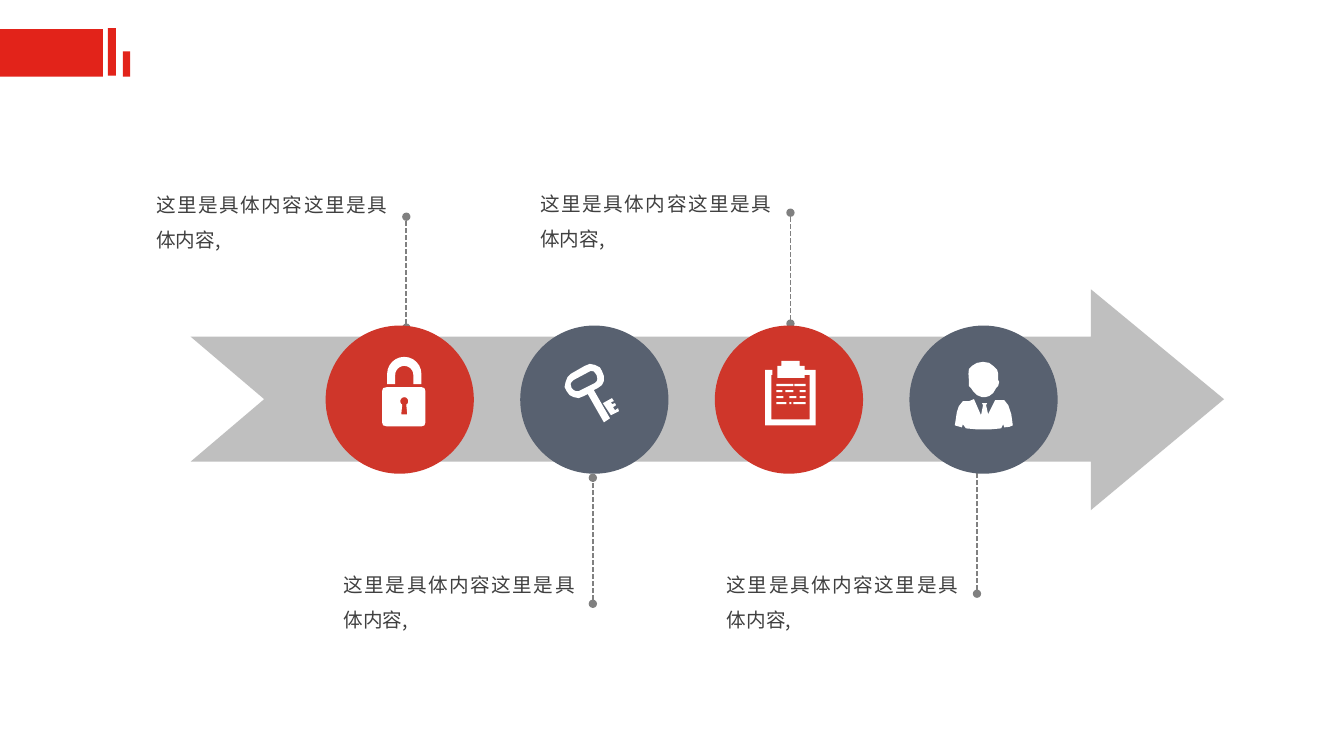
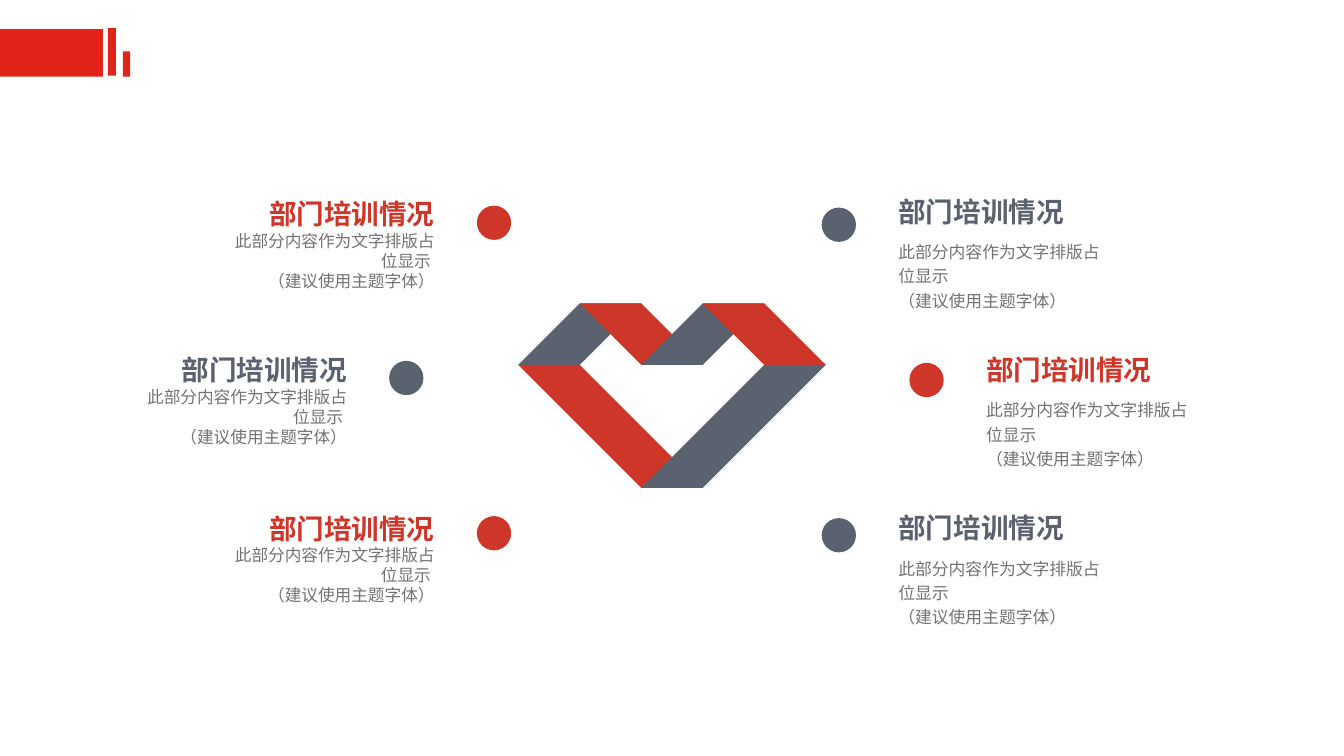
from dataclasses import dataclass
from math import cos, radians, sin

from lxml.etree import SubElement
from pptx import Presentation
from pptx.dml.color import RGBColor
from pptx.enum.dml import MSO_LINE
from pptx.enum.shapes import MSO_CONNECTOR, MSO_SHAPE
from pptx.enum.text import MSO_ANCHOR, MSO_AUTO_SIZE, PP_ALIGN
from pptx.oxml.ns import qn
from pptx.util import Inches, Pt


@dataclass(frozen=True)
class Theme:
    font: str = "Noto Sans CJK SC"
    band: str = "E2231A"
    red: str = "CF362A"
    slate: str = "586170"
    steel: str = "5A616F"
    arrow: str = "BFBFBF"
    rule: str = "808080"
    white: str = "FFFFFF"
    body: str = "404040"
    note: str = "767171"
    step: float = 14
    head: float = 19.7
    left: float = 11.9
    right: float = 12


T = Theme()


def arc(x, y, r, start, end, count=12):
    turn = [radians(start + (end - start) * i / count) for i in range(count + 1)]
    return [(x + r * cos(a), y + r * sin(a)) for a in turn]


def bar(x, y, w, h=2):
    return [(x, y), (x + w, y), (x + w, y + h), (x, y + h)]


LOCK = [
    [(5, 30), (39, 30), (42, 31), (43, 34), (43, 65), (42, 68),
     (39, 69), (5, 69), (1, 68), (0, 65), (0, 34), (1, 31)],
    [(5, 27), *arc(22, 17, 17, 180, 360), (39, 27),
     (31, 27), *arc(22, 18, 9, 360, 180), (13, 27)],
    [*arc(22, 44, 4, 60, -240), (19, 57), (25, 57)],
]
KEY = [
    [(6, 10), (20, 2), (25, 0), (30, 1), (35, 3.5), (37, 7), (39, 12),
     (39, 17), (37, 21), (33, 24), (29, 26), (45, 54), (39, 58), (23, 30),
     (19, 32), (14, 34), (9, 33), (5, 31), (2, 27), (0, 23), (1, 18), (3, 13)],
    [(47, 40), (46, 38), (49, 37), (47, 34), (38, 39), (46, 51), (54, 47),
     (53, 44), (50, 46), (48, 43), (51, 41), (50, 39)],
    [(24, 8), (9, 16), (7, 18), (6, 20), (7, 24), (9, 26), (11, 27), (14, 27),
     (16, 26), (30, 19), (32, 17), (32.5, 15), (32, 12), (31, 10), (29, 7.5), (26, 7)],
]
ROWS = [
    (23, [(11, 13), (24, 4), (29, 11)]),
    (29, [(11, 6), (20, 8), (34, 6)]),
    (35, [(11, 7), (24, 7), (34, 6)]),
    (41, [(11, 10), (24, 2), (28, 12)]),
]
BOARD = [
    [(12, 5), (16, 5), (16, 0), (34, 0), (34, 5), (39, 5), (39, 9), (50, 9),
     (50, 64), (0, 64), (0, 9), (7, 9), (7, 14), (6, 14), (6, 58), (44, 58),
     (44, 14), (39, 14), (39, 17), (12, 17)],
    *[bar(x, y, w) for y, row in ROWS for x, w in row],
]
MAN = [
    [(8, 39), (14, 39), (19, 37), (26, 53), (28, 43), (27, 41), (32, 41),
     (31, 43), (33, 52), (40, 38), (49, 38), (53, 43), (56, 52), (57.5, 63),
     (54, 64.5), (49, 65), (48, 62), (46, 66), (35, 67), (22, 67), (11, 66),
     (8, 62), (7, 65), (0, 63), (2, 50), (4, 44)],
    [(16, 26), (14, 24), (14, 19), (13.5, 12), (14, 7), (17, 4), (22, 1),
     (28, 0), (34, 1), (38, 4), (42, 8), (43, 12), (43, 18), (44, 20),
     (43, 24), (41, 26), (38, 31), (34, 34), (30, 35), (27, 35), (22, 33), (18, 29)],
]

BANDS = [(1.07, 0.28, 0.08, 0.47), (1.22, 0.51, 0.07, 0.25), (0, 0.29, 1.02, 0.47)]
ARROW = [(10.82, 2.87), (12.14, 3.96), (10.82, 5.06), (10.82, 4.58),
         (1.89, 4.58), (2.62, 3.96), (1.89, 3.34), (10.82, 3.34)]
STEP = "这里是具体内容这里是具体内容,"
STEPS = [
    (T.red, LOCK, (3.79, 3.54), (1.45, 1.75), (4.03, 3.25, 2.15)),
    (T.slate, KEY, (5.6, 3.61), (3.31, 5.52), (5.88, 5.99, 4.74)),
    (T.red, BOARD, (7.59, 3.58), (5.26, 1.74), (7.84, 3.21, 2.11)),
    (T.slate, MAN, (9.47, 3.59), (7.11, 5.52), (9.69, 5.89, 4.64)),
]

HEAD = "部门培训情况"
NOTE = ["此部分内容作为文字排版占位显示 ", "（建议使用主题字体）"]
HEART = [
    (T.steel, [(1, 1), (0, 1), (1, 0), (2, 0)]),
    (T.red, [(2, 0), (1, 0), (2, 1), (3, 1)]),
    (T.steel, [(3, 1), (2, 1), (3, 0), (4, 0)]),
    (T.red, [(4, 0), (3, 0), (4, 1), (5, 1)]),
    (T.red, [(3, 3), (1, 1), (0, 1), (2, 3)]),
    (T.steel, [(2, 3), (3, 3), (5, 1), (4, 1)]),
]
LEFT = [(4.73, 1.96, T.red), (3.86, 3.51, T.steel), (4.73, 5.08, T.red)]
RIGHT = [(8.15, 1.94, T.steel), (9.02, 3.51, T.red), (8.15, 5.08, T.steel)]


def tint(name):
    return RGBColor.from_string(name)


def paint(shape, color):
    shape.shadow.inherit = False
    shape.fill.solid()
    shape.fill.fore_color.rgb = tint(color)
    shape.line.fill.background()


def block(slide, kind, box, color):
    paint(slide.shapes.add_shape(kind, *map(Inches, box)), color)


def draw(slide, rings, color):
    rings = [[(Inches(x), Inches(y)) for x, y in ring] for ring in rings]
    pen = slide.shapes.build_freeform(*rings[0][0])
    for i, ring in enumerate(rings):
        if i:
            pen.move_to(*ring[0])
        pen.add_line_segments(ring[1:], close=True)
    paint(pen.convert_to_shape(), color)


def write(slide, box, lines, size, color, align, space=None, bold=False,
          inset=(0.1, 0.05, 0.1, 0.05), anchor=MSO_ANCHOR.TOP, wrap=True, grow=False):
    frame = slide.shapes.add_textbox(*map(Inches, box)).text_frame
    frame.word_wrap = wrap
    frame.auto_size = MSO_AUTO_SIZE.SHAPE_TO_FIT_TEXT if grow else MSO_AUTO_SIZE.NONE
    frame.vertical_anchor = anchor
    (frame.margin_left, frame.margin_top,
     frame.margin_right, frame.margin_bottom) = map(Inches, inset)
    para = frame.paragraphs[0]
    para.alignment = align
    if space:
        para.line_spacing = space
    for i, line in enumerate(lines):
        if i:
            para.add_line_break()
        run = para.add_run()
        run.text = line
        font = run.font
        font.size, font.bold, font.name = Pt(size), bold, T.font
        font.color.rgb = tint(color)
        SubElement(run._r.get_or_add_rPr(), qn("a:ea"), typeface=T.font)


def link(slide, x, start, end):
    line = slide.shapes.add_connector(
        MSO_CONNECTOR.STRAIGHT, *map(Inches, (x, start, x, end)))
    line.line.color.rgb = tint(T.rule)
    line.line.width = Pt(1.25)
    line.line.dash_style = MSO_LINE.SQUARE_DOT
    stroke = line.line._get_or_add_ln()
    for tag in ("a:headEnd", "a:tailEnd"):
        SubElement(stroke, qn(tag), type="oval")
    SubElement(line._element.spPr, qn("a:effectLst"))


def start(deck):
    slide = deck.slides.add_slide(deck.slide_layouts[6])
    for box in BANDS:
        block(slide, MSO_SHAPE.RECTANGLE, box, T.band)
    return slide


def process(deck):
    slide = start(deck)
    draw(slide, [ARROW], T.arrow)
    for i, (color, icon, (left, top), spot, rule) in enumerate(STEPS):
        write(slide, (*spot, 2.49, 0.77), [STEP], T.step, T.body,
              PP_ALIGN.JUSTIFY, 1.5, grow=True)
        link(slide, *rule)
        block(slide, MSO_SHAPE.OVAL, (3.23 + 1.93 * i, 3.23, 1.47, 1.47), color)
        rings = [[(left + x / 100, top + y / 100) for x, y in ring] for ring in icon]
        draw(slide, rings, T.white)


def heart(deck):
    slide = start(deck)
    unit, dot, wide, high = 0.61, 0.34, 2.47, 0.32
    for color, ring in HEART:
        draw(slide, [[(5.14 + unit * x, 3.01 + unit * y) for x, y in ring]], color)
    sides = [
        (LEFT, 2.04, -wide, PP_ALIGN.RIGHT, MSO_ANCHOR.MIDDLE, MSO_ANCHOR.MIDDLE,
         (0, 0, 0.42, 0), (0, 0, 0.42, 0), T.left, None),
        (RIGHT, 2.06, dot, PP_ALIGN.LEFT, MSO_ANCHOR.BOTTOM, MSO_ANCHOR.TOP,
         (0.42, 0, 0, 0), (0.42, 0.1, 0, 0), T.right, 1.2),
    ]
    for items, first, shift, align, above, below, pad, gap, size, space in sides:
        for i, (x, y, color) in enumerate(items):
            block(slide, MSO_SHAPE.OVAL, (x, first + 1.54 * i, dot, dot), color)
            write(slide, (x + shift, y, wide, high), [HEAD], T.head, color, align,
                  bold=True, inset=pad, anchor=above, wrap=False)
            write(slide, (x + shift, y + high, wide, 0.61), NOTE, size, T.note,
                  align, space, inset=gap, anchor=below)


def main():
    deck = Presentation()
    deck.slide_width, deck.slide_height = Inches(13.33), Inches(7.5)
    process(deck)
    heart(deck)
    deck.save("out.pptx")


if __name__ == "__main__":
    main()
